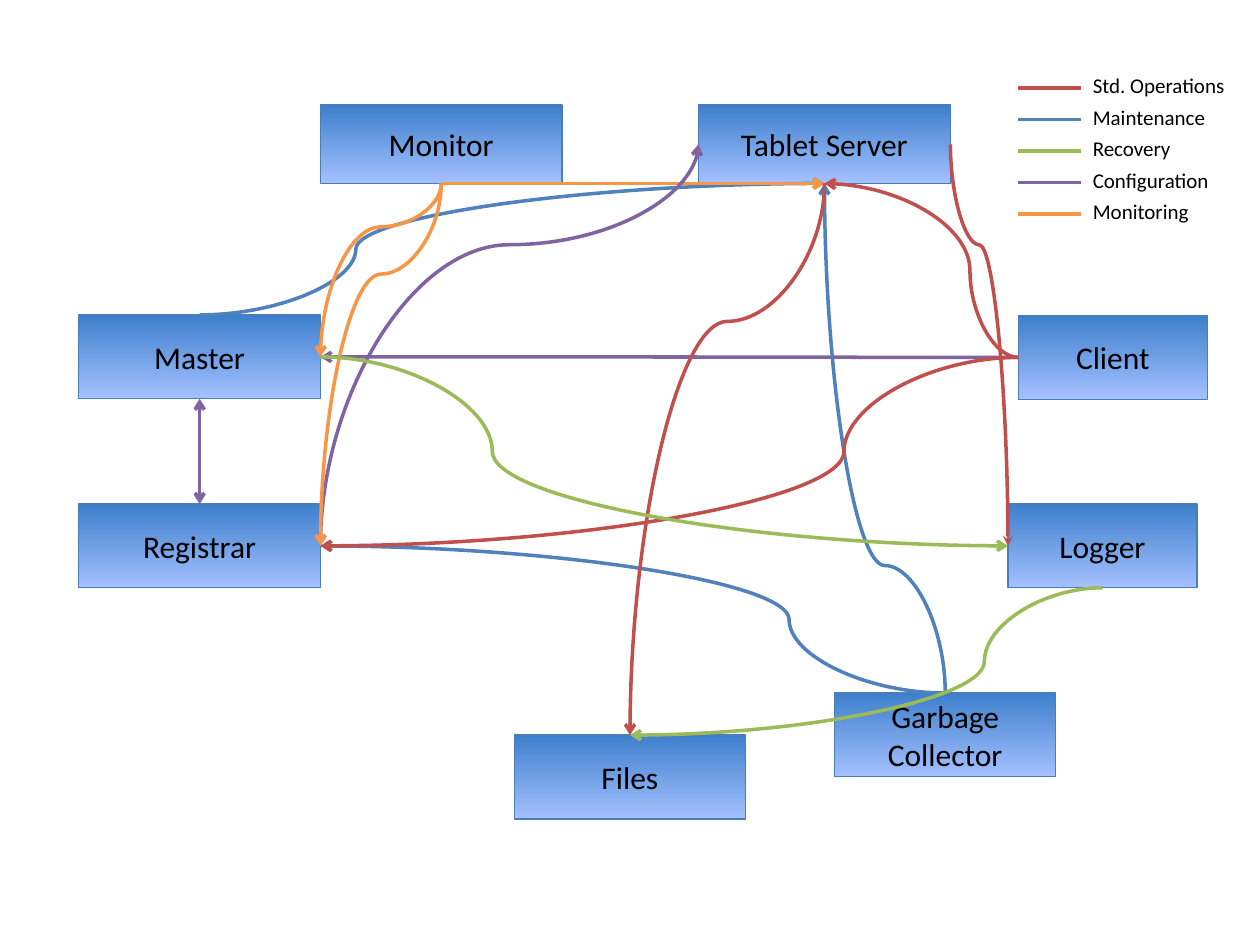
from lxml.etree import SubElement
from pptx import Presentation
from pptx.dml.color import RGBColor
from pptx.enum.shapes import MSO_CONNECTOR, MSO_SHAPE
from pptx.enum.text import MSO_ANCHOR, MSO_AUTO_SIZE, PP_ALIGN
from pptx.oxml.ns import qn
from pptx.util import Cm, Pt

RED, BLUE, GREEN, PURPLE, ORANGE = "C0504D", "4F81BD", "9BBB59", "8064A2", "F79646"
TOP, LEFT, BOTTOM, RIGHT = range(4)


def color(value):
    return RGBColor.from_string(value)


def add_line(page, kind, start, end, value, head=None, tail=None):
    """Draw a 2 pt line without shadow; head and tail are arrowhead types."""
    line = page.shapes.add_connector(kind, *start, *end)
    line.line.width = Pt(2)
    line.line.color.rgb = color(value)
    outline = line.line._get_or_add_ln()
    for tag, arrow in (("a:headEnd", head), ("a:tailEnd", tail)):
        if arrow:
            SubElement(outline, qn(tag), type=arrow)
    SubElement(line._element.spPr, qn("a:effectLst"))
    return line


deck = Presentation()
deck.slide_width, deck.slide_height = Cm(25.4), Cm(19.05)
page = deck.slides.add_slide(deck.slide_layouts[6])

# Components: left, top, width, height in cm
components = {
    "Monitor": (6.46, 2.12, 4.87, 1.58),
    "Master": (1.59, 6.35, 4.87, 1.69),
    "Tablet Server": (14.08, 2.12, 5.08, 1.58),
    "Client": (20.53, 6.36, 3.81, 1.69),
    "Registrar": (1.59, 10.16, 4.87, 1.69),
    "Files": (10.37, 14.82, 4.66, 1.69),
    "Garbage Collector": (16.83, 13.97, 4.45, 1.69),
    "Logger": (20.32, 10.16, 3.81, 1.69),
}
sides = {}
for name, bounds in components.items():
    left, top, width, height = map(Cm, bounds)
    box = page.shapes.add_shape(MSO_SHAPE.RECTANGLE, left, top, width, height)
    box.shadow.inherit = False
    box.fill.gradient()
    box.fill.gradient_angle = 270
    for stop, value in zip(box.fill.gradient_stops, ("3E7FCC", "A4C1FF")):
        stop.color.rgb = color(value)
    box.line.color.rgb = color("4A7EBB")
    box.line.width = Pt(0.75)
    box.text_frame.word_wrap = True
    box.text_frame.vertical_anchor = MSO_ANCHOR.MIDDLE
    para = box.text_frame.paragraphs[0]
    para.alignment = PP_ALIGN.CENTER
    span = para.add_run()
    span.text = name
    for key, setting in {"name": "Calibri", "size": Pt(18)}.items():
        setattr(span.font, key, setting)
    span.font.color.rgb = color("000000")
    middle_x, middle_y = left + width // 2, top + height // 2
    sides[name] = ((middle_x, top), (left, middle_y),
                   (middle_x, top + height), (left + width, middle_y))

# Curves: from, side, to, side, colour, leaves vertically, head, tail
curves = [
    ("Client", LEFT, "Tablet Server", BOTTOM, RED, False, None, "arrow"),
    ("Client", LEFT, "Master", RIGHT, PURPLE, False, None, "arrow"),
    ("Master", TOP, "Tablet Server", BOTTOM, BLUE, False, None, "arrow"),
    ("Monitor", BOTTOM, "Master", RIGHT, ORANGE, True, None, "arrow"),
    ("Monitor", BOTTOM, "Tablet Server", BOTTOM, ORANGE, False, None, "arrow"),
    ("Tablet Server", RIGHT, "Logger", LEFT, RED, True, None, "stealth"),
    ("Garbage Collector", TOP, "Tablet Server", BOTTOM, BLUE, True, None, "arrow"),
    ("Garbage Collector", TOP, "Registrar", RIGHT, BLUE, False, None, "arrow"),
    ("Client", LEFT, "Registrar", RIGHT, RED, False, None, "arrow"),
    ("Master", BOTTOM, "Registrar", TOP, PURPLE, True, "arrow", "arrow"),
    ("Tablet Server", LEFT, "Registrar", RIGHT, PURPLE, True, "arrow", "arrow"),
    ("Tablet Server", BOTTOM, "Files", TOP, RED, True, None, "arrow"),
    ("Monitor", BOTTOM, "Registrar", RIGHT, ORANGE, True, None, "arrow"),
    ("Logger", BOTTOM, "Files", TOP, GREEN, False, None, "arrow"),
    ("Master", RIGHT, "Logger", LEFT, GREEN, False, None, "arrow"),
]
for source, exit_side, target, entry_side, value, vertical, head, tail in curves:
    start, end = sides[source][exit_side], sides[target][entry_side]
    curve = add_line(page, MSO_CONNECTOR.CURVE, start, end, value, head, tail)
    across, down = end[0] - start[0], end[1] - start[1]
    # A quarter turn makes the curve leave its box vertically
    if vertical:
        angle = 90 if down > 0 else 270
        mirrored = across * down > 0
        curve.width, curve.height = abs(down), abs(across)
    else:
        angle = 0 if across > 0 else 180
        mirrored = across * down < 0
    curve.left = (start[0] + end[0] - curve.width) // 2
    curve.top = (start[1] + end[1] - curve.height) // 2
    frame = curve._element.spPr.find(qn("a:xfrm"))
    for key, setting in {"rot": angle * 60000, "flipH": 0, "flipV": int(mirrored)}.items():
        frame.set(key, str(setting))
    adjustments = curve._element.spPr.find(qn("a:prstGeom")).find(qn("a:avLst"))
    SubElement(adjustments, qn("a:gd"), name="adj1", fmla="val 25000")

# Legend: label, colour, label width in cm
legend = [("Std. Operations", RED, 3.3), ("Maintenance", BLUE, 2.77),
          ("Recovery", GREEN, 2.08), ("Configuration", PURPLE, 2.84),
          ("Monitoring", ORANGE, 2.44)]
for row, (label, value, width) in enumerate(legend):
    level = 1.77 + row * 0.635
    add_line(page, MSO_CONNECTOR.STRAIGHT, (Cm(20.53), Cm(level)),
             (Cm(21.8), Cm(level)), value)
    box = page.shapes.add_textbox(Cm(21.78), Cm(level - 0.43), Cm(width), Cm(0.77))
    box.text_frame.word_wrap = False
    box.text_frame.auto_size = MSO_AUTO_SIZE.SHAPE_TO_FIT_TEXT
    para = box.text_frame.paragraphs[0]
    para.alignment = PP_ALIGN.LEFT
    span = para.add_run()
    span.text = label
    for key, setting in {"name": "Calibri", "size": Pt(12)}.items():
        setattr(span.font, key, setting)
    span.font.color.rgb = color("000000")

deck.save("out.pptx")
